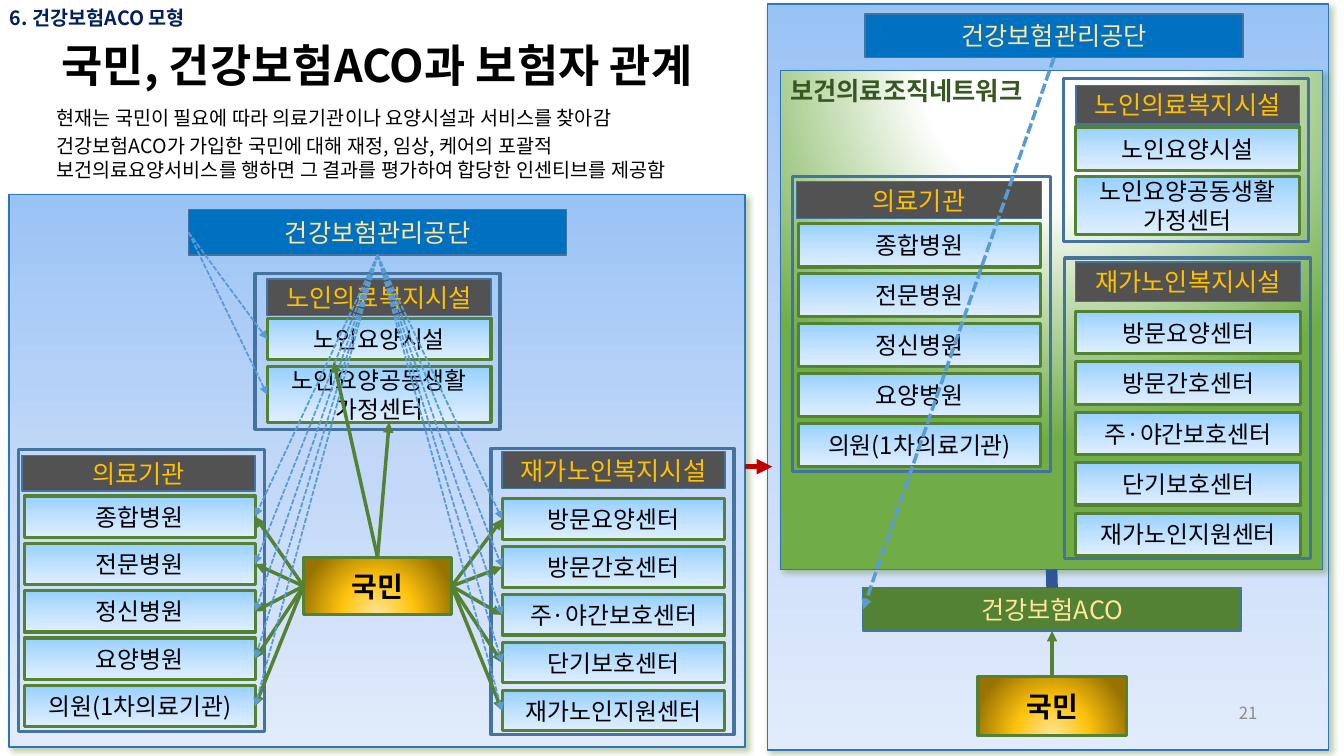
from lxml.etree import SubElement
from pptx import Presentation
from pptx.dml.color import RGBColor
from pptx.enum.dml import MSO_LINE as Dash
from pptx.enum.shapes import MSO_CONNECTOR as Connector, MSO_SHAPE as Preset
from pptx.enum.text import MSO_ANCHOR as Anchor, MSO_AUTO_SIZE as AutoSize, PP_ALIGN as Align
from pptx.oxml import parse_xml
from pptx.oxml.ns import nsdecls, qn
from pptx.util import Inches, Pt

FONT = "Noto Sans CJK KR"
GREEN, STEEL, SKY, BLACK = "548235", "43739E", "5B9BD5", "000000"
TOP, LEFT, BOTTOM, RIGHT = range(4)
DOWN = '<a:lin ang="5400000" scaled="0"/>'
PANEL = ([(0, "9AC3F5"), (50, "C2D8F8"), (100, "E1EBFB")], DOWN)
ROW = ([(0, "96D0FF"), (50, "BFE1FF"), (100, "E0EFFF")], DOWN)
ROUND = '<a:path path="circle"><a:fillToRect l="50000" t="{}" r="50000" b="{}"/></a:path>'
GOLD = ([(0, "FFE699"), (46, "FFC30D"), (100, "997300")], ROUND.format(130000, -30000))
MEADOW = ([(0, "FFFFFF"), (35, "FFFFFF"), (100, "70AD47")], ROUND.format(-80000, 180000))

MEDICAL = ["종합병원", "전문병원", "정신병원", "요양병원", "의원(1차의료기관)"]
HOME_CARE = ["방문요양센터", "방문간호센터", "주·야간보호센터", "단기보호센터", "재가노인지원센터"]
ELDERLY = ["노인요양시설", "노인요양공동생활 가정센터"]


def rgb(value):
    """Turn a hex string into a colour."""
    return RGBColor.from_string(value)


def write(shape, text, size=17, color=BLACK, bold=False, align=Align.CENTER,
          anchor=Anchor.MIDDLE, spacing=1.0):
    """Put one formatted paragraph into a shape."""
    frame = shape.text_frame
    frame.word_wrap, frame.auto_size = True, AutoSize.NONE
    frame.vertical_anchor = anchor
    paragraph = frame.paragraphs[0]
    paragraph.alignment, paragraph.line_spacing = align, spacing
    paragraph.space_before = Pt(0)
    run = paragraph.add_run()
    run.text = text
    font = run.font
    font.name, font.size, font.bold = FONT, Pt(size), bold
    font.color.rgb = rgb(color)
    SubElement(run._r.get_or_add_rPr(), qn("a:ea"), typeface=FONT)
    return shape


def place(shape, at):
    """Move and size a shape by its left, top, width and height."""
    shape.left, shape.top, shape.width, shape.height = map(Inches, at)
    return shape


def statement(placeholder, at, text, spacing):
    """Fill a body placeholder with an unbulleted statement."""
    write(place(placeholder, at), text, size=14, align=Align.LEFT, spacing=spacing)
    properties = placeholder.text_frame.paragraphs[0]._p.get_or_add_pPr()
    properties.set("marL", "0")
    properties.set("indent", "0")
    SubElement(properties, qn("a:buNone"))


def label(slide, at, text, **style):
    """Add a text box."""
    write(slide.shapes.add_textbox(*map(Inches, at)), text, **style)


def box(slide, at, fill=None, line=STEEL, weight=1.0):
    """Add a rectangle with a plain, gradient or empty fill."""
    shape = slide.shapes.add_shape(Preset.RECTANGLE, *map(Inches, at))
    shape.shadow.inherit = False
    shape.line.color.rgb, shape.line.width = rgb(line), Pt(weight)
    if fill is None:
        shape.fill.background()
    elif isinstance(fill, str):
        shape.fill.solid()
        shape.fill.fore_color.rgb = rgb(fill)
    else:
        stops, direction = fill
        marks = "".join(f'<a:gs pos="{pos * 1000}"><a:srgbClr val="{color}"/></a:gs>'
                        for pos, color in stops)
        shape.fill.gradient()
        properties = shape._element.spPr
        properties.replace(properties.find(qn("a:gradFill")), parse_xml(
            f'<a:gradFill {nsdecls("a")} rotWithShape="1"><a:gsLst>{marks}</a:gsLst>'
            f'{direction}</a:gradFill>'))
    return shape


def panel(slide, at, fill=PANEL):
    """Add a large background area with a soft green shadow."""
    area = box(slide, at, fill, "2E75B6")
    area._element.spPr.find(qn("a:effectLst")).append(parse_xml(
        f'<a:outerShdw {nsdecls("a")} blurRad="{Pt(4)}" dist="{Pt(3)}" dir="2700000" '
        f'algn="tl" rotWithShape="0"><a:srgbClr val="{GREEN}"><a:alpha val="40000"/>'
        '</a:srgbClr></a:outerShdw>'))
    return area


def banner(slide, at, text, fill="0070C0"):
    """Add an organisation bar."""
    return write(box(slide, at, fill), text, size=18, color="FFE699")


def people(slide, at):
    """Add the golden box of the insured people."""
    return write(box(slide, at, GOLD, GREEN, 2.25), "국민", size=20, bold=True)


def even_rows(top, step, height):
    """Give top and height of five evenly spaced rows."""
    return [(top + step * index, height) for index in range(5)]


def facility(slide, frame, header, title, names, left, width, rows):
    """Add a framed group of facilities and return its rows."""
    box(slide, frame, weight=2.25)
    write(box(slide, header, "525252"), title, size=18, color="FFC000")
    return [write(box(slide, (left, top, width, height), ROW, GREEN, 2.25), name)
            for name, (top, height) in zip(names, rows)]


def link(slide, start, end, color=GREEN, weight=2.5, dash=None, arrow=True):
    """Join two points, each being x and y or a shape and its side."""
    ends = [point if isinstance(point[0], (int, float)) else (0, 0) for point in (start, end)]
    line = slide.shapes.add_connector(Connector.STRAIGHT, *map(Inches, ends[0] + ends[1]))
    for (part, side), connect in ((start, line.begin_connect), (end, line.end_connect)):
        if not isinstance(part, (int, float)):
            connect(part, side)
    line.line.color.rgb, line.line.width = rgb(color), Pt(weight)
    if dash:
        line.line.dash_style = dash
    properties = line._element.spPr
    if arrow:
        SubElement(properties.find(qn("a:ln")), qn("a:tailEnd"), type="triangle")
    SubElement(properties, qn("a:effectLst"))


def current_system(slide):
    """Draw the present relations on the left."""
    panel(slide, (0.09, 1.93, 7.3, 5.48))
    citizens = people(slide, (3.01, 5.53, 1.47, 0.57))
    elderly = facility(slide, (2.53, 2.71, 2.43, 1.55), (2.65, 2.77, 2.22, 0.36),
                       "노인의료복지시설", ELDERLY, 2.65, 2.22, [(3.16, 0.41), (3.64, 0.55)])
    home_care = facility(slide, (4.87, 4.45, 2.41, 2.84), (4.98, 4.48, 2.21, 0.37),
                         "재가노인복지시설", HOME_CARE, 4.98, 2.21, even_rows(4.95, 0.475, 0.4))
    medical = facility(slide, (0.18, 4.46, 2.44, 2.8), (0.22, 4.52, 2.31, 0.35),
                       "의료기관", MEDICAL, 0.24, 2.29, even_rows(4.92, 0.47, 0.41))
    insurer = banner(slide, (1.87, 2.08, 3.75, 0.45), "건강보험관리공단")
    for rows, near, far in ((medical, LEFT, RIGHT), (home_care, RIGHT, LEFT)):
        for row in rows:
            link(slide, (citizens, near), (row, far))
            link(slide, (insurer, BOTTOM), (row, far), SKY, 1.25, Dash.SQUARE_DOT)
    for target in ((3.86, 4.19), (3.31, 3.59)):
        link(slide, (citizens, TOP), target)
    for row in elderly:
        link(slide, (insurer, LEFT), (row, LEFT), SKY, 1.25, Dash.SQUARE_DOT)


def aco_system(slide):
    """Draw the relations under the ACO on the right."""
    panel(slide, (7.61, 0.04, 5.57, 7.4))
    network = panel(slide, (7.74, 0.7, 5.38, 4.95), MEADOW)
    write(network, "보건의료조직네트워크", size=18, color="385723", bold=True,
          align=Align.LEFT, anchor=Anchor.TOP)
    facility(slide, (10.55, 0.78, 2.43, 1.62), (10.67, 0.85, 2.22, 0.38),
             "노인의료복지시설", ELDERLY, 10.67, 2.22, [(1.26, 0.43), (1.75, 0.58)])
    facility(slide, (10.56, 2.56, 2.44, 2.98), (10.67, 2.6, 2.23, 0.39),
             "재가노인복지시설", HOME_CARE, 10.67, 2.23, even_rows(3.09, 0.5, 0.42))
    facility(slide, (7.86, 1.75, 2.56, 2.93), (7.9, 1.8, 2.43, 0.37),
             "의료기관", MEDICAL, 7.92, 2.4, even_rows(2.22, 0.495, 0.43))
    citizens = people(slide, (9.7, 6.71, 1.47, 0.59))
    aco = banner(slide, (8.56, 5.83, 3.75, 0.43), "건강보험ACO", GREEN)
    insurer = banner(slide, (8.58, 0.14, 3.75, 0.43), "건강보험관리공단")
    link(slide, (citizens, TOP), (aco, BOTTOM))
    link(slide, (network, BOTTOM), (aco, TOP), "2F5597", 8.25, arrow=False)
    link(slide, (insurer, BOTTOM), (aco, LEFT), SKY, 2.5, Dash.SQUARE_DOT)


def main():
    """Build and save the slide."""
    deck = Presentation()
    deck.slide_width, deck.slide_height = Inches(13.33), Inches(7.5)
    slide = deck.slides.add_slide(deck.slide_layouts[3])
    title, present, proposal = slide.placeholders
    write(place(title, (0.03, 0.43, 7.42, 0.48)), "국민, 건강보험ACO과 보험자 관계",
          size=32, bold=True, spacing=0.9)
    title.text_frame.margin_left = title.text_frame.margin_right = 0
    statement(present, (0.46, 1.02, 6.93, 0.24),
              "현재는 국민이 필요에 따라 의료기관이나 요양시설과 서비스를 찾아감", 1.2)
    statement(proposal, (0.46, 1.32, 6.85, 0.49),
              "건강보험ACO가 가입한 국민에 대해 재정, 임상, 케어의 포괄적 보건의료요양서비스를 "
              "행하면 그 결과를 평가하여 합당한 인센티브를 제공함", 1.0)
    current_system(slide)
    aco_system(slide)
    link(slide, (7.39, 4.63), (7.66, 4.63), "C00000", 3.75)
    label(slide, (0, 0.04, 3.01, 0.28), "6. 건강보험ACO 모형", size=14, color="002060",
          bold=True, align=Align.LEFT)
    label(slide, (9.57, 6.87, 3, 0.4), "21", size=12, color="8C8C8C", align=Align.RIGHT)
    deck.save("out.pptx")


if __name__ == "__main__":
    main()
